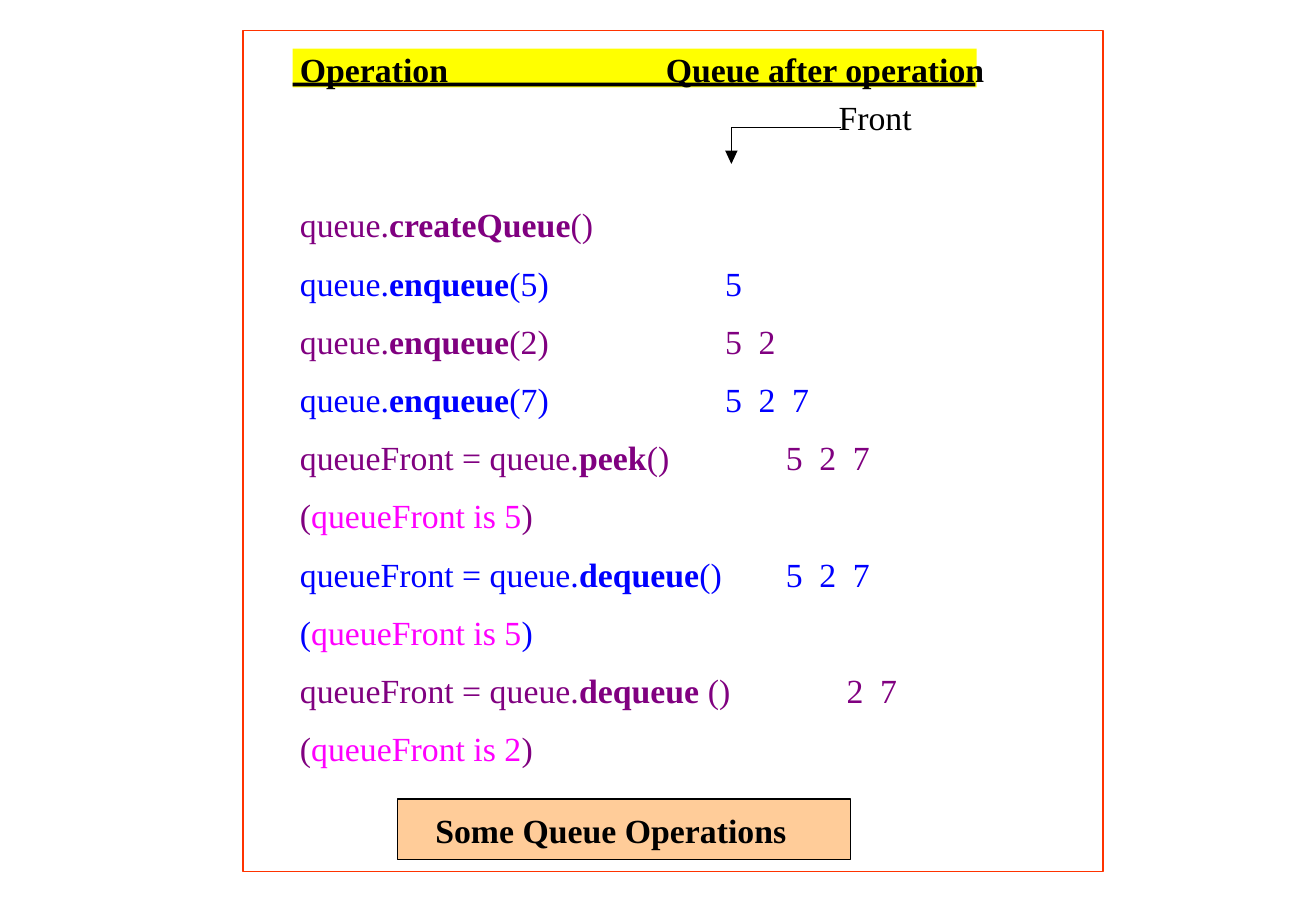
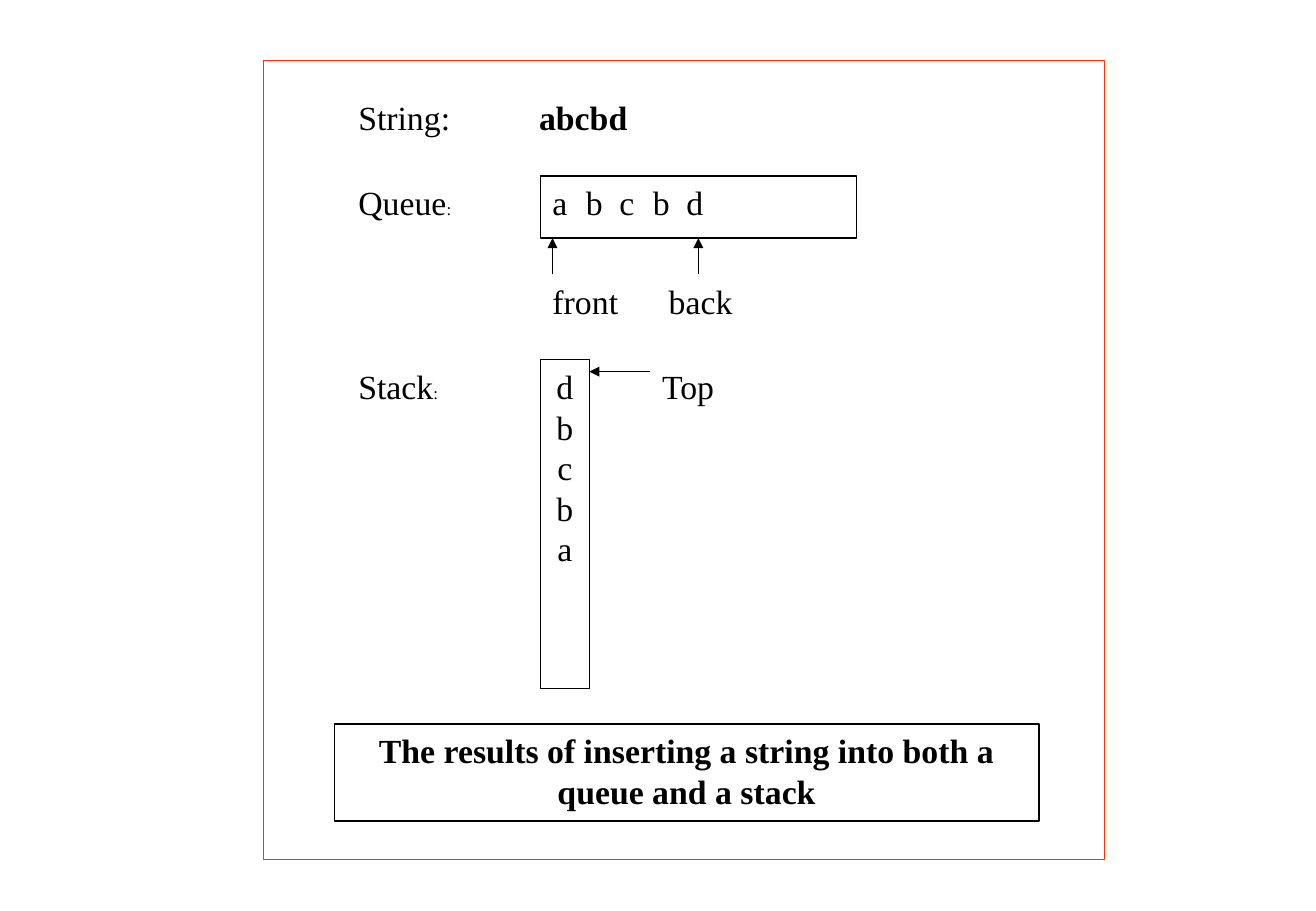
import pptx
import pptx.dml.color
import pptx.enum.shapes
import pptx.enum.text
import pptx.oxml.ns
import pptx.util
from lxml import etree

Cm, Pt = pptx.util.Cm, pptx.util.Pt
ALIGN = pptx.enum.text.PP_ALIGN
FONT = "Times New Roman"
BLACK, WHITE, YELLOW, PEACH = "000000", "FFFFFF", "FFFF00", "FFCC99"
FRAME_LINE, PURPLE, BLUE, PINK = "FF3300", "800080", "0000FF", "FF00FF"
LABEL_INSETS = (0.25, 0.13)
ITEM_TABS = [0.7 * step for step in range(1, 5)]


def rgb(hex_color):
    return pptx.dml.color.RGBColor.from_string(hex_color)


def sub(parent, tag, **attributes):
    return etree.SubElement(parent, pptx.oxml.ns.qn(tag), attributes)


def paint(shape, fill, line=None):
    shape.fill.solid()
    shape.fill.fore_color.rgb = rgb(fill)
    if line:
        shape.line.color.rgb = rgb(line)
        shape.line.width = Pt(0.75)
    else:
        shape.line.fill.background()


def place(shape, left, top, width, height):
    shape.left, shape.top = Cm(left), Cm(top)
    shape.width, shape.height = Cm(width), Cm(height)


def write(shape, *paragraphs, color=BLACK, bold=False, align=ALIGN.LEFT,
          insets=(0, 0), tabs=(), wrap=True):
    """Each paragraph is a string or a list of (text, overrides) runs."""
    frame = shape.text_frame
    frame.word_wrap = wrap
    frame.auto_size = pptx.enum.text.MSO_AUTO_SIZE.NONE
    frame.vertical_anchor = pptx.enum.text.MSO_ANCHOR.TOP
    frame.margin_left = frame.margin_right = Cm(insets[0])
    frame.margin_top = frame.margin_bottom = Cm(insets[1])
    for index, runs in enumerate(paragraphs):
        paragraph = frame.paragraphs[0] if index == 0 else frame.add_paragraph()
        paragraph.alignment = align
        paragraph.line_spacing = Pt(24)
        paragraph.space_before = Pt(0)
        if tabs:
            stops = sub(paragraph._p.get_or_add_pPr(), "a:tabLst")
            for stop in tabs:
                sub(stops, "a:tab", pos=str(int(Cm(stop))), algn="l")
        for text, overrides in [(runs, {})] if isinstance(runs, str) else runs:
            run = paragraph.add_run()
            run.text = text
            run.font.name = FONT
            run.font.size = Pt(overrides.get("size", 20))
            run.font.bold = overrides.get("bold", bold)
            run.font.color.rgb = rgb(overrides.get("color", color))


def label(slide, left, top, width, height, *paragraphs, **style):
    text_box = slide.shapes.add_textbox(Cm(left), Cm(top), Cm(width), Cm(height))
    write(text_box, *paragraphs, **style)


def rectangle(slide, left, top, width, height, fill=WHITE, line=None):
    shape = slide.shapes.add_shape(pptx.enum.shapes.MSO_SHAPE.RECTANGLE,
                                   Cm(left), Cm(top), Cm(width), Cm(height))
    shape.shadow.inherit = False
    paint(shape, fill, line)
    return shape


def straight(slide, x1, y1, x2, y2, arrow=False):
    line = slide.shapes.add_connector(pptx.enum.shapes.MSO_CONNECTOR.STRAIGHT,
                                      Cm(x1), Cm(y1), Cm(x2), Cm(y2))
    line.line.color.rgb = rgb(BLACK)
    line.line.width = Pt(0.75)
    if arrow:
        sub(line.line._get_or_add_ln(), "a:tailEnd", type="triangle")
    sub(line._element.spPr, "a:effectLst")


def framed_slide(deck, box):
    slide = deck.slides.add_slide(deck.slide_layouts[5])
    rectangle(slide, *box, line=FRAME_LINE)
    return slide


def caption(slide, box, text, fill=WHITE, **style):
    """The slide title, set as a boxed caption in front of the frame."""
    title = slide.shapes.title
    title.element.getparent().append(title.element)
    place(title, *box)
    paint(title, fill, BLACK)
    write(title, text, bold=True, **style)


# Slide 1: operations and the queue after each
def operation(prefix, method, arguments):
    return [(prefix, {}), (method, {"bold": True}), (arguments, {})]


def result(value):
    return [("(", {}), (f"queueFront is {value}", {"color": PINK}), (")", {})]


# Colour, call, queue contents, contents offset in steps
OPERATIONS = [
    (PURPLE, operation("queue.", "createQueue", "()"), "", 0),
    (BLUE, operation("queue.", "enqueue", "(5)"), "5", 0),
    (PURPLE, operation("queue.", "enqueue", "(2)"), "5\t2", 0),
    (BLUE, operation("queue.", "enqueue", "(7)"), "5\t2\t7", 0),
    (PURPLE, operation("queueFront = queue.", "peek", "()"), "5\t2\t7", 1),
    (PURPLE, result(5), "", 0),
    (BLUE, operation("queueFront = queue.", "dequeue", "()"), "5\t2\t7", 1),
    (BLUE, result(5), "", 0),
    (PURPLE, operation("queueFront = queue.", "dequeue", " ()"), "2\t7", 2),
    (PURPLE, result(2), "", 0),
]


def column_heads(slide, left, top):
    rectangle(slide, left, top, 14.3, 0.81, fill=YELLOW)
    label(slide, left + 0.15, top, 3.1, 0.85, "Operation", bold=True, wrap=False)
    label(slide, left + 7.8, top, 6.68, 0.85, "Queue after operation",
          bold=True, wrap=False)
    rectangle(slide, left, top + 0.71, 14.27, 0.08, fill=BLACK)


def front_pointer(slide, left, top):
    label(slide, left + 2.24, top - 0.64, 1.55, 0.85, "Front", wrap=False)
    straight(slide, left, top, left + 2.29, top)
    straight(slide, left, top, left, top + 0.48)
    tip = slide.shapes.build_freeform(Cm(left - 0.13), Cm(top + 0.48))
    tip.add_line_segments([(Cm(left), Cm(top + 0.76)),
                           (Cm(left + 0.13), Cm(top + 0.48))], close=True)
    head = tip.convert_to_shape()
    head.shadow.inherit = False
    paint(head, BLACK)


def operation_rows(slide, left, top, pitch=1.217):
    for row, (color, call, contents, shift) in enumerate(OPERATIONS):
        y = top + row * pitch
        offset = 8.89 + 1.27 * shift
        label(slide, left, y, offset, 0.85, call, color=color, wrap=False)
        if contents:
            label(slide, left + offset, y, 1.8, 0.85, contents, color=color,
                  tabs=ITEM_TABS, wrap=False)


def operations_slide(deck, box=(5.08, 0.64, 17.98, 17.58)):
    slide = framed_slide(deck, box)
    left, top = box[:2]
    column_heads(slide, left + 1.04, top + 0.38)
    front_pointer(slide, left + 10.21, top + 2.03)
    operation_rows(slide, left + 1.19, top + 3.63)
    caption(slide, (left + 3.23, top + 16.07, 9.47, 1.27),
            "Some Queue Operations", fill=PEACH, insets=(0.79, 0.23))


# Slide 2: one string held in a queue and in a stack
def queue_row(slide, left, top, value_left):
    label(slide, left, top, 3.05, 1.3, [("Queue", {}), (":", {"size": 10})],
          insets=LABEL_INSETS)
    cells = rectangle(slide, value_left, top, 6.6, 1.3, line=BLACK)
    write(cells, "a\tb\tc\tb\td", insets=LABEL_INSETS, tabs=ITEM_TABS)
    for offset in (0.25, 3.3):
        straight(slide, value_left + offset, top + 2.06,
                 value_left + offset, top + 1.3, arrow=True)
    label(slide, value_left, top + 2.06, 7.11, 1.02, "front\tback",
          insets=LABEL_INSETS, tabs=[2.43])


def stack_row(slide, left, top, value_left):
    label(slide, left, top, 2.54, 1.3, [("Stack", {}), (":", {"size": 10})],
          insets=LABEL_INSETS)
    cells = rectangle(slide, value_left, top, 1.02, 6.88, line=BLACK)
    write(cells, *"dbcba", align=ALIGN.CENTER, insets=LABEL_INSETS)
    straight(slide, value_left + 2.29, top + 0.25,
             value_left + 1.02, top + 0.25, arrow=True)
    label(slide, value_left + 2.29, top, 2.54, 1.02, "Top", insets=LABEL_INSETS)


def string_slide(deck, box=(5.51, 1.27, 17.58, 16.71)):
    slide = framed_slide(deck, box)
    left, top = box[:2]
    label_left, value_left = left + 1.73, left + 5.79
    label(slide, label_left, top + 0.63, 10.67, 1.27,
          [("String:\t", {}), ("abcbd", {"bold": True})],
          insets=LABEL_INSETS, tabs=[3.78])
    queue_row(slide, label_left, top + 2.41, value_left)
    stack_row(slide, label_left, top + 6.25, value_left)
    caption(slide, (left + 1.48, top + 13.87, 14.73, 2.03),
            "The results of inserting a string into both a queue and a stack",
            align=ALIGN.CENTER, insets=LABEL_INSETS)


def main():
    deck = pptx.Presentation()
    deck.slide_width, deck.slide_height = Cm(27.51), Cm(19.05)
    operations_slide(deck)
    string_slide(deck)
    deck.save("out.pptx")


if __name__ == "__main__":
    main()
